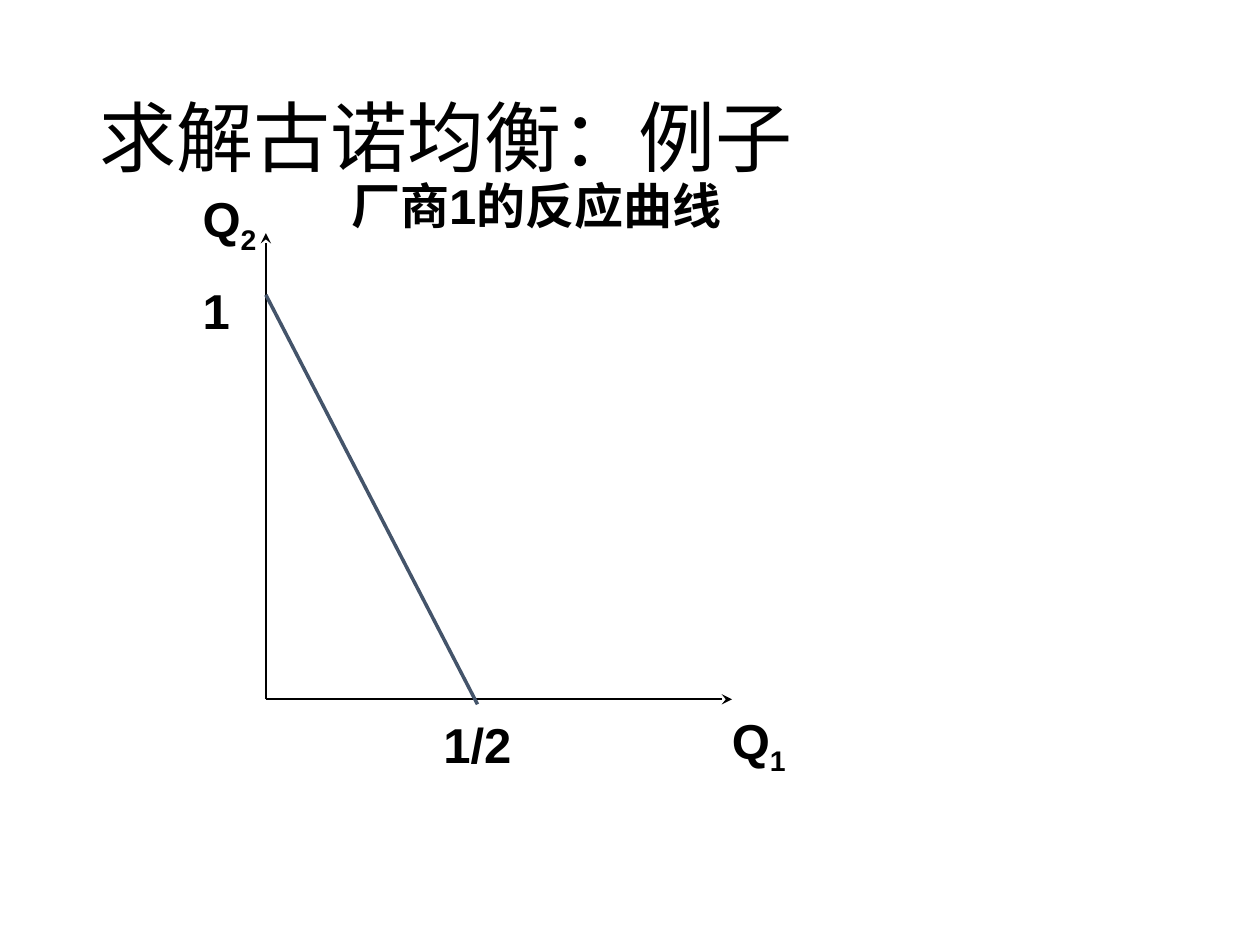
from dataclasses import dataclass

from lxml.etree import SubElement
from pptx import Presentation
from pptx.dml.color import RGBColor
from pptx.enum.shapes import MSO_CONNECTOR
from pptx.enum.text import MSO_ANCHOR, MSO_AUTO_SIZE, PP_ALIGN
from pptx.oxml.ns import qn
from pptx.slide import Slide
from pptx.util import Inches, Pt

BLACK = RGBColor(0x00, 0x00, 0x00)
SLATE = RGBColor(0x44, 0x54, 0x6A)
ORIGIN = (2.11, 5.55)


@dataclass
class Line:
    start: tuple[float, float]
    end: tuple[float, float]
    color: RGBColor = BLACK
    width: float = 1
    arrow: bool = False


@dataclass
class Label:
    text: str
    left: float
    top: float
    width: float
    subscript: str = ""
    wrap: bool = False


LINES = [
    Line(ORIGIN, (ORIGIN[0], 1.85), arrow=True),
    Line(ORIGIN, (5.81, ORIGIN[1]), arrow=True),
    Line((ORIGIN[0], 2.34), (3.79, 5.59), SLATE, 2),
]
LABELS = [
    Label("Q", 1.51, 1.45, 0.65, subscript="2"),
    Label("Q", 5.71, 5.59, 0.65, subscript="1"),
    Label("1", 1.51, 2.18, 0.42),
    Label("1/2", 3.42, 5.62, 0.75),
    Label("厂商1的反应曲线", 2.69, 1.34, 3.29, wrap=True),
]


def add_title(slide: Slide, text: str) -> None:
    s = slide.shapes.title
    s.left, s.top, s.width, s.height = map(Inches, (0.69, 0.4, 8.62, 1.45))
    tf = s.text_frame
    tf.text = text
    tf.vertical_anchor = MSO_ANCHOR.MIDDLE
    p = tf.paragraphs[0]
    p.alignment = PP_ALIGN.LEFT
    p.line_spacing = 0.9
    p.font.name = "Calibri"
    p.font.size = Pt(44)
    p.font.color.rgb = BLACK


def add_line(slide: Slide, line: Line) -> None:
    s = slide.shapes.add_connector(
        MSO_CONNECTOR.STRAIGHT, *map(Inches, line.start + line.end))
    s.line.color.rgb = line.color
    s.line.width = Pt(line.width)
    sp_pr = s._element.spPr
    if line.arrow:
        SubElement(sp_pr.find(qn("a:ln")), qn("a:tailEnd"), type="stealth")
    SubElement(sp_pr, qn("a:effectLst"))


def add_label(slide: Slide, label: Label) -> None:
    s = slide.shapes.add_textbox(
        *map(Inches, (label.left, label.top, label.width, 0.57)))
    tf = s.text_frame
    tf.word_wrap = label.wrap
    tf.auto_size = MSO_AUTO_SIZE.SHAPE_TO_FIT_TEXT
    p = tf.paragraphs[0]
    p.font.name = "Arial"
    p.font.size = Pt(28)
    p.font.bold = True
    p.font.color.rgb = BLACK
    p.add_run().text = label.text
    if label.subscript:
        r = p.add_run()
        r.text = label.subscript
        r.font._element.set("baseline", "-25000")


def main() -> None:
    prs = Presentation()
    prs.slide_width, prs.slide_height = Inches(10), Inches(7.5)
    slide = prs.slides.add_slide(prs.slide_layouts.get_by_name("Title Only"))
    add_title(slide, "求解古诺均衡：例子")
    for line in LINES:
        add_line(slide, line)
    for label in LABELS:
        add_label(slide, label)
    prs.save("out.pptx")


if __name__ == "__main__":
    main()
